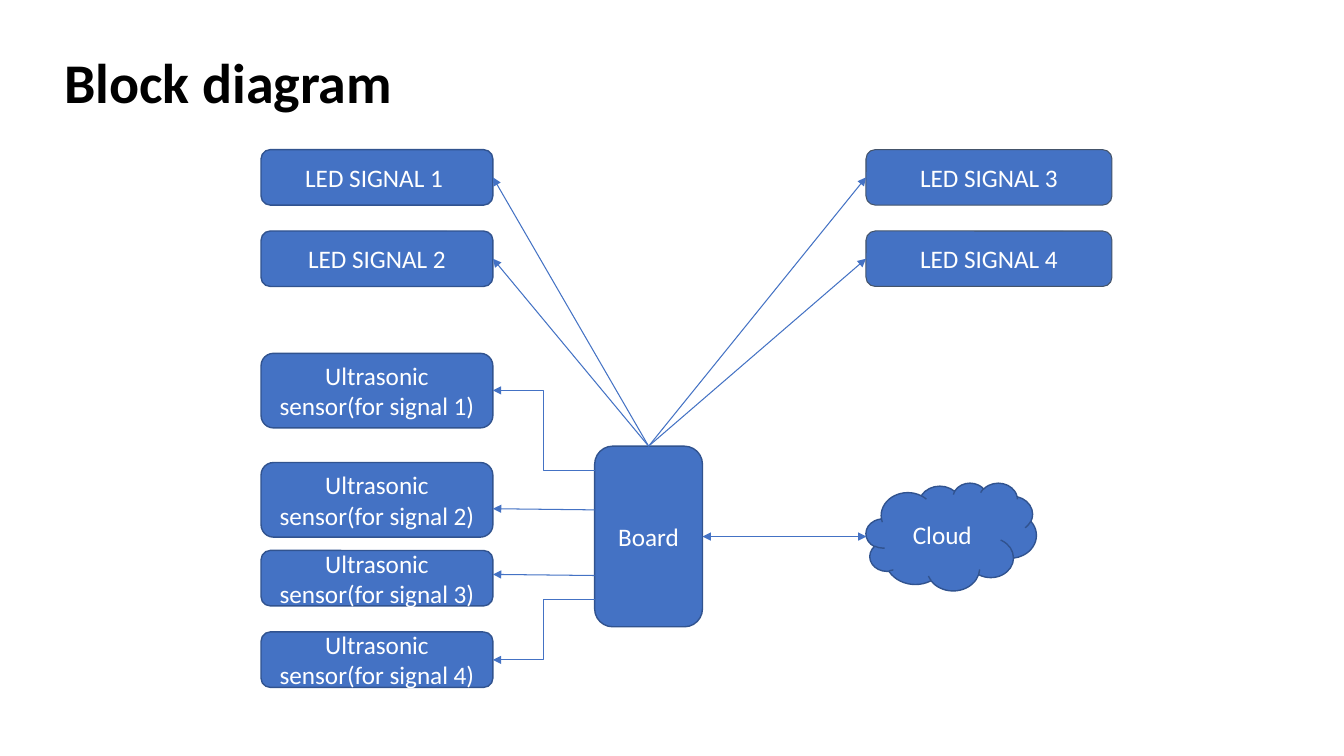
import dataclasses

import pptx
import pptx.dml.color
import pptx.enum.shapes
import pptx.enum.text
import pptx.oxml
import pptx.oxml.ns
import pptx.util

Pt = pptx.util.Pt
SHAPES = pptx.enum.shapes.MSO_SHAPE
CONNECTORS = pptx.enum.shapes.MSO_CONNECTOR


@dataclasses.dataclass(frozen=True)
class Theme:
    font: str = "Calibri"
    title_size: float = 40
    label_size: float = 18
    title_color: str = "000000"
    label_color: str = "FFFFFF"
    fill: str = "4472C4"
    outline: str = "31538F"
    slate_outline: str = "44546A"
    arrow: str = "4472C4"
    thin: float = 0.75
    medium: float = 1


def rgb(value):
    return pptx.dml.color.RGBColor.from_string(value)


class Diagram:
    def __init__(self, slide, theme):
        self.slide = slide
        self.theme = theme

    def style_text(self, paragraph, size, color, bold=False):
        paragraph.font.name = self.theme.font
        paragraph.font.size = Pt(size)
        paragraph.font.bold = bold
        paragraph.font.color.rgb = rgb(color)

    def title(self, text, left, top, width, height):
        box = self.slide.shapes.add_textbox(Pt(left), Pt(top), Pt(width), Pt(height))
        frame = box.text_frame
        frame.word_wrap = True
        frame.vertical_anchor = pptx.enum.text.MSO_ANCHOR.MIDDLE
        paragraph = frame.paragraphs[0]
        paragraph.text = text
        paragraph.line_spacing = 0.9
        self.style_text(paragraph, self.theme.title_size, self.theme.title_color, True)

    def block(self, text, left, top, width, height,
              preset=SHAPES.ROUNDED_RECTANGLE, slate=False):
        theme = self.theme
        shape = self.slide.shapes.add_shape(preset, Pt(left), Pt(top), Pt(width), Pt(height))
        shape.shadow.inherit = False
        shape.fill.solid()
        shape.fill.fore_color.rgb = rgb(theme.fill)
        shape.line.color.rgb = rgb(theme.slate_outline if slate else theme.outline)
        shape.line.width = Pt(theme.thin if slate else theme.medium)
        frame = shape.text_frame
        frame.word_wrap = True
        frame.vertical_anchor = pptx.enum.text.MSO_ANCHOR.MIDDLE
        paragraph = frame.paragraphs[0]
        paragraph.text = text
        paragraph.alignment = pptx.enum.text.PP_ALIGN.CENTER
        self.style_text(paragraph, theme.label_size, theme.label_color)

    def arrow(self, start, end, kind=CONNECTORS.STRAIGHT, both_ends=False):
        points = [Pt(value) for value in (*start, *end)]
        connector = self.slide.shapes.add_connector(kind, *points)
        connector.line.color.rgb = rgb(self.theme.arrow)
        connector.line.width = Pt(self.theme.thin)
        line = connector.line._get_or_add_ln()
        for tag in ("a:headEnd", "a:tailEnd") if both_ends else ("a:tailEnd",):
            end_mark = pptx.oxml.ns.qn(tag)
            line.append(line.makeelement(end_mark, {"type": "triangle"}))
        properties = connector._element.spPr
        properties.append(properties.makeelement(pptx.oxml.ns.qn("a:effectLst"), {}))


def main():
    presentation = pptx.Presentation()
    presentation.slide_width = Pt(960)
    presentation.slide_height = Pt(540)
    slide = presentation.slides.add_slide(presentation.slide_layouts[6])
    diagram = Diagram(slide, Theme())

    left_column, left_width = 186.5, 165.6
    right_column, right_width = 618.6, 175.7
    left_edge = left_column + left_width
    low, tall = 39.6, 53.3
    board_left, board_top, board_width, board_height = 424.8, 318.7, 77, 129
    board_right = board_left + board_width
    board_peak = (board_left + board_width / 2, board_top)

    diagram.title("Block diagram", 38.9, 8.6, 828, 104.4)
    diagram.block("Board", board_left, board_top, board_width, board_height)

    # Top and height of each sensor, then where its arrow leaves the board and arrives
    sensors = [
        (252.4, tall, 336, 278.9, CONNECTORS.ELBOW),
        (330.4, tall, 364.2, 363.4, CONNECTORS.STRAIGHT),
        (393.2, low, 411.1, 410.3, CONNECTORS.STRAIGHT),
        (451.4, low, 428, 471.4, CONNECTORS.ELBOW),
    ]
    for number, (top, height, leave, arrive, kind) in enumerate(sensors, 1):
        diagram.block(f"Ultrasonic sensor(for signal {number})",
                      left_column, top, left_width, height)
        diagram.arrow((board_left, leave), (left_edge, arrive), kind)

    signal_tops = (106.9, 165)
    for top, left_label, right_label in zip(
            signal_tops, ("LED SIGNAL 1 ", "LED SIGNAL 2"), ("LED SIGNAL 3", "LED SIGNAL 4")):
        diagram.block(left_label, left_column, top, left_width, low)
        diagram.block(right_label, right_column, top, right_width, low, slate=True)
        for edge in (left_edge, right_column):
            diagram.arrow(board_peak, (edge, top + low / 2))

    diagram.block("Cloud ", right_column, 344.9, 121.7, 77, SHAPES.CLOUD)
    diagram.arrow((board_right, 383.3), (right_column + 0.4, 383.3), both_ends=True)

    presentation.save("out.pptx")


if __name__ == "__main__":
    main()
